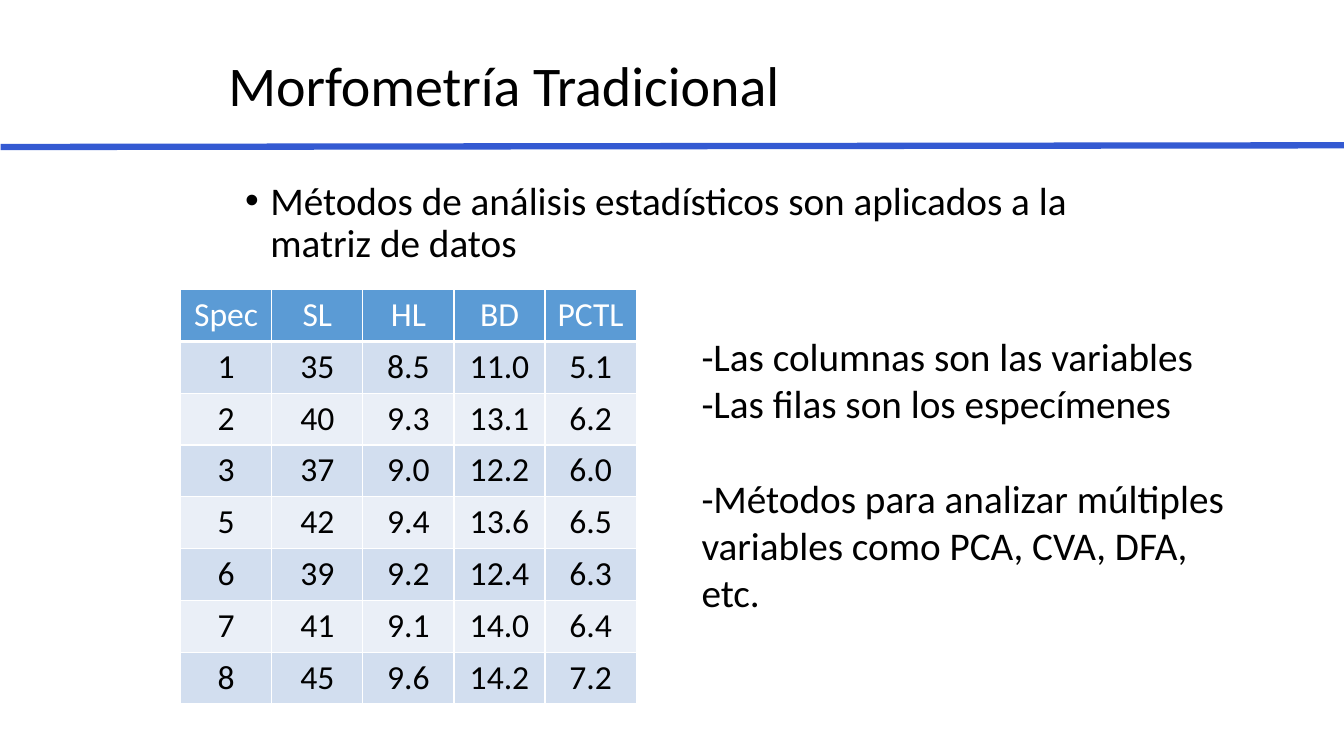
from lxml import etree
from pptx import Presentation
from pptx.dml.color import RGBColor
from pptx.enum.shapes import MSO_CONNECTOR
from pptx.enum.text import MSO_ANCHOR, PP_ALIGN
from pptx.oxml.ns import qn
from pptx.util import Pt

STRAIGHT = MSO_CONNECTOR.STRAIGHT
TOP, MIDDLE = MSO_ANCHOR.TOP, MSO_ANCHOR.MIDDLE
CENTER = PP_ALIGN.CENTER

TITLE = "Morfometría Tradicional"
STATEMENT = "Métodos de análisis estadísticos son aplicados a la matriz de datos"
MEASUREMENTS = [
    ("Spec", "SL", "HL", "BD", "PCTL"),
    ("1", "35", "8.5", "11.0", "5.1"),
    ("2", "40", "9.3", "13.1", "6.2"),
    ("3", "37", "9.0", "12.2", "6.0"),
    ("5", "42", "9.4", "13.6", "6.5"),
    ("6", "39", "9.2", "12.4", "6.3"),
    ("7", "41", "9.1", "14.0", "6.4"),
    ("8", "45", "9.6", "14.2", "7.2"),
]
NOTES = [
    ("-Las columnas son las variables", 0),
    ("-Las filas son los especímenes", 0),
    ("-Métodos para analizar múltiples variables como PCA, CVA, DFA, etc.", 34),
]
THEME = {
    "font": "Calibri",
    "title": 40, "body": 28, "cell": 24,
    "text": "000000", "header_text": "FFFFFF", "border": "FFFFFF",
    "header": "5B9BD5", "bands": ("D2DEEF", "EAEFF7"), "rule": "345AD2",
}
COLUMN_WIDTH, ROW_HEIGHT = 65.1, 37


def color(name):
    return RGBColor.from_string(name)


def add_run(paragraph, words, size, ink=THEME["text"]):
    run = paragraph.add_run()
    run.text = words
    run.font.name = THEME["font"]
    run.font.size = Pt(size)
    run.font.bold = False
    run.font.color.rgb = color(ink)


def add_frame(slide, left, top, width, height, anchor=TOP):
    frame = slide.shapes.add_textbox(Pt(left), Pt(top), Pt(width), Pt(height)).text_frame
    frame.word_wrap = True
    frame.vertical_anchor = anchor
    return frame


def add_bullet(paragraph, indent):
    properties = paragraph._p.get_or_add_pPr()
    properties.set("marL", str(Pt(indent)))
    properties.set("indent", str(-Pt(indent)))
    etree.SubElement(properties, qn("a:buFont"), typeface="Arial")
    etree.SubElement(properties, qn("a:buChar"), char="•")


def add_borders(cell, bottom_width):
    properties = cell._tc.get_or_add_tcPr()
    for side, width in (("L", 1), ("R", 1), ("T", 1), ("B", bottom_width)):
        border = etree.SubElement(properties, qn(f"a:ln{side}"), w=str(Pt(width)))
        fill = etree.SubElement(border, qn("a:solidFill"))
        etree.SubElement(fill, qn("a:srgbClr"), val=THEME["border"])


def add_measurements(slide, left, top):
    rows, columns = len(MEASUREMENTS), len(MEASUREMENTS[0])
    table = slide.shapes.add_table(
        rows, columns, Pt(left), Pt(top),
        Pt(columns * COLUMN_WIDTH), Pt(rows * ROW_HEIGHT)).table
    for column in table.columns:
        column.width = Pt(COLUMN_WIDTH)
    for r, specimen in enumerate(MEASUREMENTS):
        table.rows[r].height = Pt(ROW_HEIGHT)
        header = r == 0
        for c, value in enumerate(specimen):
            cell = table.cell(r, c)
            add_borders(cell, 3 if header else 1)
            cell.fill.solid()
            cell.fill.fore_color.rgb = color(
                THEME["header"] if header else THEME["bands"][(r - 1) % 2])
            paragraph = cell.text_frame.paragraphs[0]
            paragraph.alignment = CENTER
            add_run(paragraph, value, THEME["cell"],
                    THEME["header_text"] if header else THEME["text"])


def main():
    deck = Presentation()
    deck.slide_width, deck.slide_height = Pt(960), Pt(540)
    slide = deck.slides.add_slide(deck.slide_layouts[6])

    title = add_frame(slide, 156, 36, 648, 54, MIDDLE).paragraphs[0]
    title.line_spacing = 0.9
    add_run(title, TITLE, THEME["title"])

    statement = add_frame(slide, 168, 126, 630, 306).paragraphs[0]
    add_bullet(statement, 18)
    statement.line_spacing = 0.9
    add_run(statement, STATEMENT, THEME["body"])

    add_measurements(slide, 129, 206.9)

    notes = add_frame(slide, 494, 234, 387.4, 211)
    for i, (note, gap) in enumerate(NOTES):
        paragraph = notes.add_paragraph() if i else notes.paragraphs[0]
        paragraph.space_before = Pt(gap)
        add_run(paragraph, note, THEME["body"])

    rule = slide.shapes.add_connector(STRAIGHT, Pt(0.5), Pt(105), Pt(960), Pt(103.8))
    rule.line.color.rgb = color(THEME["rule"])
    rule.line.width = Pt(4.5)
    etree.SubElement(rule._element.spPr, qn("a:effectLst"))

    deck.save("out.pptx")


if __name__ == "__main__":
    main()
